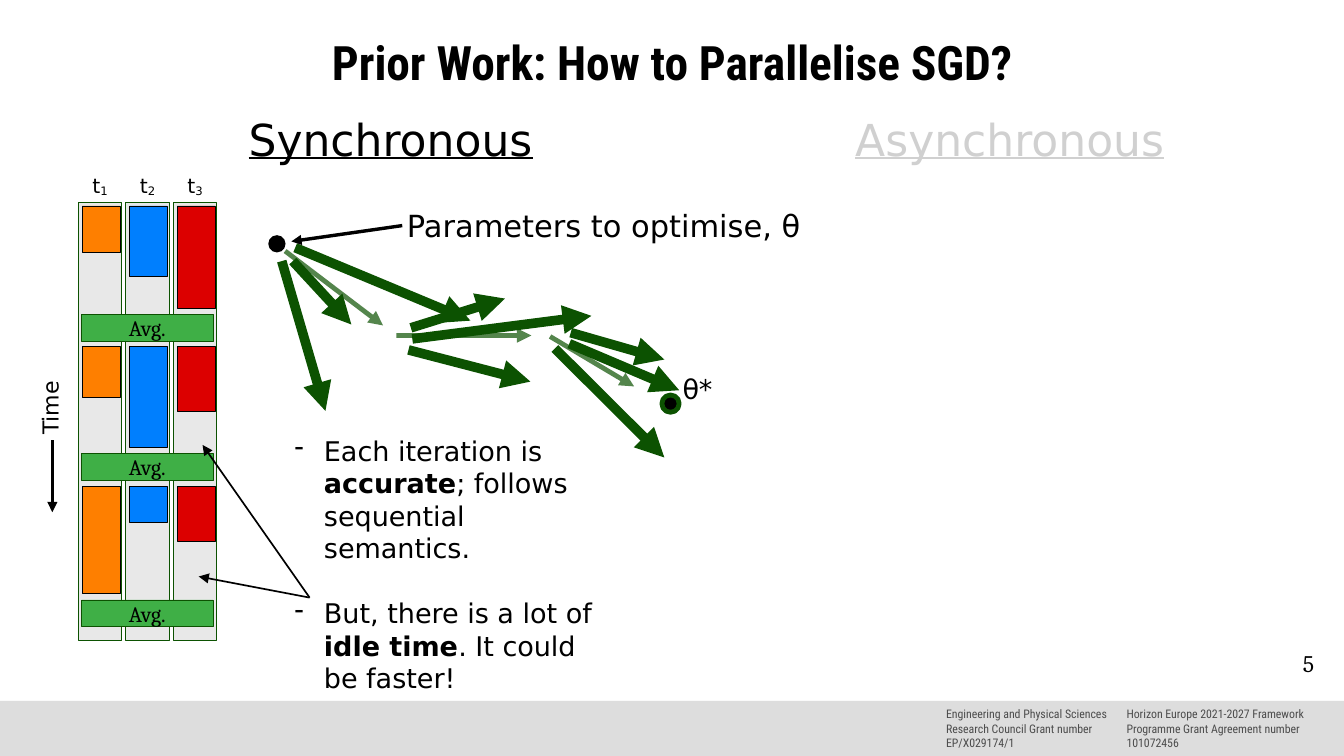
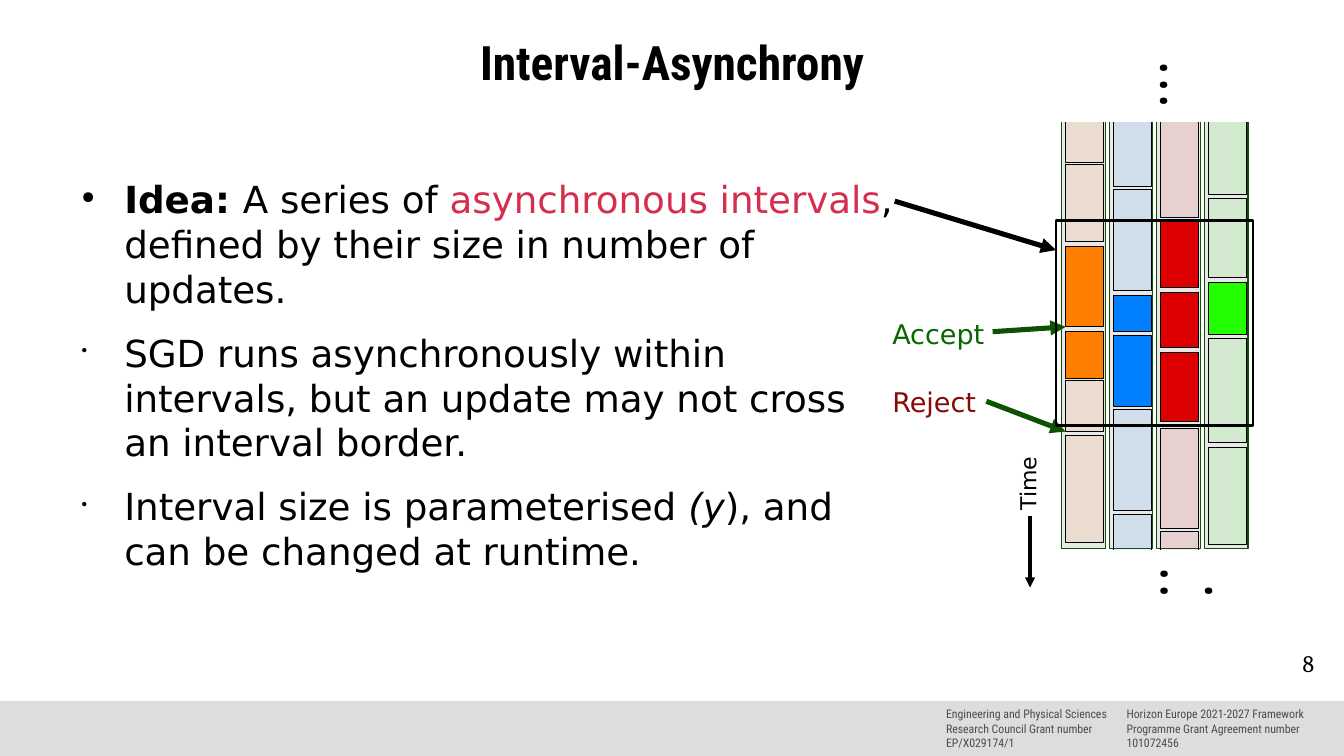
from dataclasses import dataclass

from lxml import etree
from pptx import Presentation
from pptx.dml.color import RGBColor
from pptx.enum import shapes, text
from pptx.oxml import ns
from pptx.util import Cm, Pt


@dataclass(frozen=True)
class Theme:
    sans: str = "DejaVu Sans"
    serif: str = "Cambria"
    narrow: str = "Roboto Condensed"
    black: str = "000000"
    white: str = "FFFFFF"
    band: str = "DDDDDD"
    footer: str = "4C4C4C"
    faded: str = "D0D0D0"
    lane: str = "E8E8E8"
    dark_green: str = "0C5201"
    average: str = "3FAF46"
    accent: str = "D62E4E"
    accept: str = "086800"
    reject: str = "880909"
    threads: tuple = ("FE7F00", "007FFE", "DC0000", "23FF00")
    title_pt: float = 28
    heading_pt: float = 26
    body_pt: float = 22
    callout_pt: float = 18
    note_pt: float = 16
    page_pt: float = 14
    small_pt: float = 13
    thread_pt: float = 12
    footer_pt: float = 7
    thin: float = 0.43
    arrow: float = 3
    step: float = 5.67
    mean: float = 2.83


T = Theme()
CENTER, RIGHT = text.PP_ALIGN.CENTER, text.PP_ALIGN.RIGHT
MIDDLE = text.MSO_ANCHOR.MIDDLE
RECT, OVAL = shapes.MSO_SHAPE.RECTANGLE, shapes.MSO_SHAPE.OVAL
PAD = (0.25, 0.13)
LANE_PITCH, LANE_W, LANE_H, BLOCK_INSET = 0.99, 0.91, 9.12, 0.08
BLOCK_W = LANE_W - 1.5 * BLOCK_INSET

FOOTERS = [
    (19.46, 3.89, "Engineering and Physical Sciences Research Council Grant number EP/X029174/1"),
    (23.22, 4.95, "Horizon Europe 2021-2027 Framework Programme Grant Agreement number 101072456"),
]
HEADINGS = [("Synchronous", T.black), ("Asynchronous", T.faded)]
ROUNDS = [
    ((0.97, 1.47, 2.13), 6.55),
    ((1.07, 2.11, 1.37), 9.45),
    ((2.24, 0.76, 1.14), 12.5),
]
STEPS = [
    ([(5.87, 5.44, 6.78, 8.56), (6.1, 5.44, 7.32, 6.76), (6.15, 5.16, 9.8, 6.68)],
     (5.94, 5.23, 7.98, 6.78)),
    ([(8.51, 7.29, 11.05, 7.95), (8.56, 6.83, 10.52, 6.22), (8.59, 7.06, 12.32, 6.58)],
     (8.26, 6.99, 11.07, 6.99)),
    ([(11.56, 7.26, 13.84, 9.53), (11.86, 7.16, 14.15, 8.13), (11.89, 6.93, 13.84, 7.49)],
     (11.46, 7.01, 13.21, 8.05)),
]
IDLE_START, IDLE_ENDS = (6.45, 12.45), [(4.14, 12.01), (4.22, 9.27)]
BOLD, ITALIC = {"bold": True}, {"italic": True}
SYNC_POINTS = [
    [("Each iteration is ", {}), ("accurate", BOLD), ("; follows sequential semantics.", {})],
    [("But, there is a lot of ", {}), ("idle time", BOLD), (". It could be faster!", {})],
]
INTERVAL_POINTS = [
    [("Idea: ", BOLD), ("A series of ", {}), ("asynchronous intervals", {"color": T.accent}),
     (", defined by their size in number of updates.", {})],
    [("SGD runs asynchronously within intervals, but an update may not cross an interval border.", {})],
    [("Interval size is parameterised ", {}), ("(y", ITALIC), ("), and can be changed at runtime.", {})],
]
TIMELINES = [
    [(2.41, 0.97, 0), (3.43, 1.6, 0), (5.13, 1.68, 1), (6.91, 0.97, 1), (7.92, 1.07, 0), (9.07, 2.24, 0)],
    [(2.41, 1.47, 0), (3.94, 2.11, 0), (6.15, 0.76, 1), (6.99, 1.47, 1), (8.53, 2.11, 0), (10.72, 0.86, 0)],
    [(2.41, 2.13, 0), (4.62, 1.37, 1), (6.1, 1.14, 1), (7.34, 1.45, 1), (8.92, 2.08, 0), (11.07, 0.51, 0)],
    [(2.41, 1.65, 0), (4.14, 1.65, 0), (5.89, 1.07, 1), (7.04, 2.18, 0), (9.32, 2.03, 0)],
]
VERDICTS = [
    ("Accept", T.accept, 6.48, (20.68, 6.91, 22.2, 6.81)),
    ("Reject", T.reject, 7.9, (20.55, 8.36, 22.2, 8.99)),
]


def rgb(color):
    return RGBColor.from_string(color)


def sub(parent, tag, **attrs):
    return etree.SubElement(parent, ns.qn(tag), attrs)


def set_alpha(fill, percent):
    for clr in fill.iter(ns.qn("a:srgbClr")):
        sub(clr, "a:alpha", val=str(percent * 1000))


def add_run(p, words, size, font=T.sans, color=T.black, bold=False, italic=False,
            underline=False, baseline=0):
    r = p.add_run()
    r.text = words
    f = r.font
    f.size, f.name, f.bold, f.italic = Pt(size), font, bold, italic
    f.color.rgb = rgb(color)
    if underline:
        f.underline = True
    if baseline:
        r._r.get_or_add_rPr().set("baseline", str(baseline * 1000))


def set_frame(tf, pad=(0, 0), anchor=text.MSO_ANCHOR.TOP):
    tf.word_wrap = True
    tf.vertical_anchor = anchor
    tf.margin_left = tf.margin_right = Cm(pad[0])
    tf.margin_top = tf.margin_bottom = Cm(pad[1])


def add_text(s, box, words, size, align=None, pad=(0, 0), rotation=0, anchor=text.MSO_ANCHOR.TOP, **style):
    sp = s.shapes.add_textbox(*map(Cm, box))
    sp.rotation = rotation
    set_frame(sp.text_frame, pad, anchor)
    p = sp.text_frame.paragraphs[0]
    p.alignment = align
    add_run(p, words, size, **style)
    return sp


def add_bullets(s, box, points, size, marks, gap, margin, hang, pad=(0, 0), mark_pct=100):
    tf = s.shapes.add_textbox(*map(Cm, box)).text_frame
    set_frame(tf, pad)
    for i, (runs, mark) in enumerate(zip(points, marks)):
        p = tf.add_paragraph() if i else tf.paragraphs[0]
        p.space_before = Pt(gap if i else 0)
        pPr = p._p.get_or_add_pPr()
        pPr.set("marL", str(Cm(margin)))
        pPr.set("indent", str(-Cm(hang)))
        sub(sub(pPr, "a:buClr"), "a:srgbClr", val=T.black)
        sub(pPr, "a:buSzPct", val=str(mark_pct * 1000))
        sub(pPr, "a:buChar", char=mark)
        for words, style in runs:
            add_run(p, words, size, **style)


def add_box(s, box, fill=None, line=None, width=0, alpha=100, kind=RECT):
    sp = s.shapes.add_shape(kind, *map(Cm, box))
    sp.shadow.inherit = False
    if fill:
        sp.fill.solid()
        sp.fill.fore_color.rgb = rgb(fill)
        if alpha < 100:
            set_alpha(sp.element.spPr, alpha)
    else:
        sp.fill.background()
    if line:
        sp.line.color.rgb = rgb(line)
        sp.line.width = Pt(width)
    else:
        sp.line.fill.background()
    return sp


def add_arrow(s, ends, color=T.black, width=0, alpha=100):
    c = s.shapes.add_connector(shapes.MSO_CONNECTOR.STRAIGHT, *map(Cm, ends))
    c.line.color.rgb = rgb(color)
    c.line.width = Pt(width)
    ln = c.line._get_or_add_ln()
    if alpha < 100:
        set_alpha(ln, alpha)
    sub(ln, "a:tailEnd", type="triangle")
    sub(c.element.spPr, "a:effectLst")


def add_lanes(s, left, top, count):
    lanes = [left + i * LANE_PITCH for i in range(count)]
    for x in lanes:
        add_box(s, (x, top, LANE_W, LANE_H), T.lane, T.dark_green)
    return lanes


def add_block(s, lane, top, height, color, alpha=100):
    add_box(s, (lane + BLOCK_INSET, top, BLOCK_W, height), color, T.black, T.thin, alpha)


def add_time_axis(s, x, y):
    add_text(s, (x - 0.8, y - 0.4, 1.6, 0.8), "Time", T.small_pt, CENTER, rotation=270, anchor=MIDDLE)
    add_arrow(s, (x + 0.05, y + 0.67, x + 0.05, y + 2.17))


def move_footer_to_layout(s, layout):
    parts = [add_box(s, (0, 14.6, 28, 1.15), T.band)]
    for left, width, words in FOOTERS:
        parts.append(add_text(s, (left, 14.6, width, 1.15), words, T.footer_pt,
                              pad=PAD, font=T.narrow, color=T.footer))
    for part in parts:
        layout.shapes.element.append(part.element)


def new_slide(prs, layout, title, page):
    s = prs.slides.add_slide(layout)
    sp = s.shapes.title
    sp.left, sp.top, sp.width, sp.height = map(Cm, (1.4, 0.33, 25.2, 1.9))
    set_frame(sp.text_frame, anchor=MIDDLE)
    p = sp.text_frame.paragraphs[0]
    p.alignment = CENTER
    add_run(p, title, T.title_pt, T.narrow, bold=True)
    add_text(s, (20.85, 13.51, 6.53, 1.09), page, T.page_pt, RIGHT, font=T.serif)
    return s


def build_prior_work(s):
    for i, (words, color) in enumerate(HEADINGS):
        add_text(s, (2.59 + 12.9 * i, 2.34, 11.1, 1.07), words, T.heading_pt, CENTER,
                 color=color, underline=True)
    lanes = add_lanes(s, 1.63, 4.22, 3)
    for i, lane in enumerate(lanes, 1):
        sp = add_text(s, (lane, 3.61, LANE_W, 0.6), "t", T.thread_pt, CENTER)
        add_run(sp.text_frame.paragraphs[0], str(i), T.thread_pt, baseline=-8)
    for i, (heights, bar_top) in enumerate(ROUNDS):
        for lane, height, color in zip(lanes, heights, T.threads):
            add_block(s, lane, 4.29 + 2.92 * i, height, color)
        bar = add_box(s, (1.7, bar_top, 2.74, 0.56), T.average, T.dark_green, T.thin)
        set_frame(bar.text_frame, PAD, MIDDLE)
        p = bar.text_frame.paragraphs[0]
        p.alignment = CENTER
        add_run(p, "Avg.", T.small_pt, T.serif)
    for updates, mean in STEPS:
        for ends in updates:
            add_arrow(s, ends, T.dark_green, T.step)
        add_arrow(s, mean, T.dark_green, T.mean, 70)
    add_box(s, (5.59, 4.9, 0.36, 0.36), T.black, kind=OVAL)
    add_box(s, (13.79, 8.23, 0.36, 0.36), T.black, T.dark_green, T.mean, kind=OVAL)
    add_text(s, (13.97, 7.62, 1.3, 0.99), "θ*", T.note_pt, pad=PAD)
    add_text(s, (8.23, 4.19, 9.2, 0.99), "Parameters to optimise, θ", T.callout_pt, pad=PAD)
    add_arrow(s, (8.38, 4.7, 6.07, 5.03))
    add_bullets(s, (5.89, 8.92, 6.99, 5.46), SYNC_POINTS, T.note_pt, "--", 19.2, 0.61, 0.61, PAD)
    for end in IDLE_ENDS:
        add_arrow(s, IDLE_START + end, width=1)
    add_time_axis(s, 1.04, 8.5)


def build_intervals(s):
    add_bullets(s, (1.4, 3.68, 17.35, 9.86), INTERVAL_POINTS, T.body_pt, "●••", 11.5, 1.19, 0.89,
                mark_pct=45)
    lanes = add_lanes(s, 22.12, 2.31, 4)
    for lane, blocks, color in zip(lanes, TIMELINES, T.threads):
        for top, height, active in blocks:
            add_block(s, lane, top, height, color, 100 if active else 10)
    for top in (2.26, 11.46):
        add_box(s, (21.84, top, 4.45, 0.28), T.white)
    for box in ((23.47, 0.94, 1.68, 1.5), (23.57, 11.23, 1.5, 1.5)):
        add_text(s, box, "•••", T.body_pt, pad=PAD, rotation=270, font=T.serif)
    for words, color, top, ends in VERDICTS:
        add_text(s, (18.34, top, 2.6, 0.91), words, T.note_pt, pad=PAD, color=color)
        add_arrow(s, ends, T.dark_green, T.arrow)
    add_box(s, (22, 4.6, 4.11, 4.27), line=T.black, width=1.5)
    add_arrow(s, (18.64, 4.19, 22, 5.21), width=T.arrow)
    add_time_axis(s, 21.41, 10.07)


def main():
    prs = Presentation()
    prs.slide_width, prs.slide_height = Cm(28), Cm(15.75)
    layout = prs.slide_layouts[5]
    s = new_slide(prs, layout, "Prior Work: How to Parallelise SGD?", "5")
    move_footer_to_layout(s, layout)
    build_prior_work(s)
    build_intervals(new_slide(prs, layout, "Interval-Asynchrony", "8"))
    prs.save("out.pptx")


if __name__ == "__main__":
    main()
